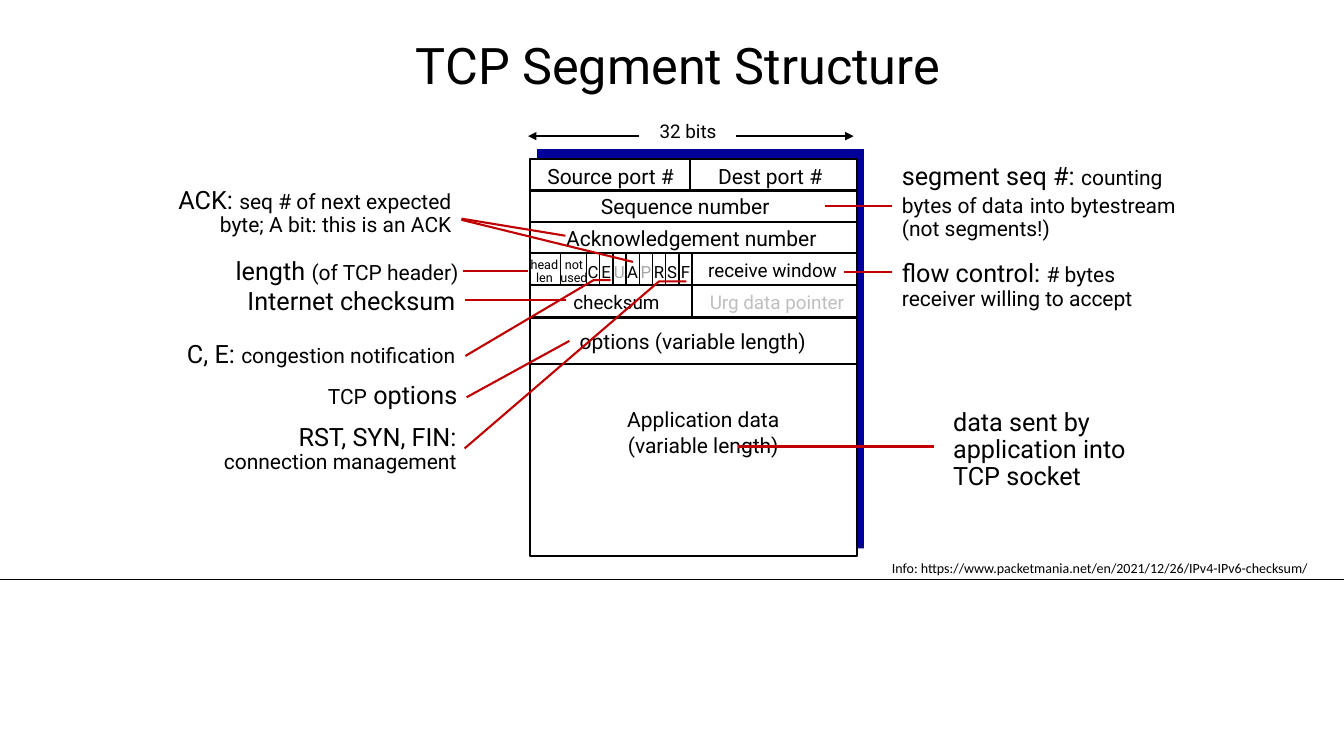
"""Build the TCP segment structure slide."""
from dataclasses import dataclass
from typing import Any, Optional

from lxml.etree import SubElement
from pptx import Presentation
from pptx.dml.color import RGBColor
from pptx.enum.shapes import MSO_CONNECTOR, MSO_SHAPE
from pptx.enum.text import MSO_ANCHOR, MSO_AUTO_SIZE, PP_ALIGN
from pptx.oxml.ns import qn
from pptx.util import Cm, Pt

Point = tuple[float, float]
Run = tuple[str, float]


@dataclass(frozen=True)
class Theme:
    ink: RGBColor = RGBColor(0, 0, 0)
    paper: RGBColor = RGBColor(255, 255, 255)
    backdrop: RGBColor = RGBColor(0x00, 0x00, 0x99)
    pointer: RGBColor = RGBColor(0xC0, 0x00, 0x00)
    unused_flag: RGBColor = RGBColor(0xA6, 0xA6, 0xA6)
    unused_field: RGBColor = RGBColor(0xBF, 0xBF, 0xBF)
    font: str = "Roboto"
    source_font: str = "Calibri"
    title: float = 36
    term: float = 18
    body: float = 15
    field: float = 13.5
    flag: float = 12
    source: float = 10
    tiny: float = 9


THEME = Theme()


@dataclass(frozen=True)
class Label:
    left: float
    top: float
    width: float
    height: float
    paragraphs: tuple[tuple[Run, ...], ...]
    align: PP_ALIGN = PP_ALIGN.CENTER
    colour: RGBColor = THEME.ink
    wrap: bool = False
    spacing: Optional[float] = None
    font: str = THEME.font


@dataclass(frozen=True)
class Route:
    points: tuple[Point, ...]
    colour: RGBColor = THEME.pointer
    weight: float = 1.5
    arrow: bool = False


LEFT, RIGHT, MIDDLE = 13.36, 21.59, 17.44
TOP, HEIGHT = 4.01, 10.01
ROW_LINES = (4.8, 5.59, 6.38, 7.19, 8.0, 9.17)
FLAG_TOP, FLAG_BOTTOM = ROW_LINES[2:4]
FLAGS_LEFT = 14.78
FLAGS = "CEUAPRSF"
FLAG_PITCH = (MIDDLE - FLAGS_LEFT) / len(FLAGS)
FLAG_WIDTH = 0.81


def field(left: float, top: float, width: float, text: str,
          size: float = THEME.body, colour: RGBColor = THEME.ink) -> Label:
    """Describe a one-line header field."""
    return Label(left, top, width, 0.87, (((text, size),),), colour=colour)


def note(left: float, top: float, width: float, height: float, *runs: Run,
         align: PP_ALIGN = PP_ALIGN.RIGHT) -> Label:
    """Describe an explanation beside the segment."""
    return Label(left, top, width, height, (runs,), align, wrap=True, spacing=0.9)


FIELDS = (
    field(13.51, 3.99, 3.76, "Source port #"),
    field(17.81, 3.99, 3.2, "Dest port #"),
    field(14.68, 4.75, 5.18, "Sequence number"),
    field(13.87, 5.56, 7.11, "Acknowledgement number"),
    field(14.35, 8.15, 6.22, "options (variable length)"),
    field(16.36, 2.9, 1.96, "32 bits", THEME.field),
    field(17.55, 6.38, 3.84, "receive window", THEME.field),
    field(14.2, 7.19, 2.67, "checksum", THEME.field),
    field(17.55, 7.21, 4.06, "Urg data pointer", THEME.field, THEME.unused_field),
    Label(14.88, 10.13, 5.69, 1.55,
          ((("Application data", THEME.body),), (("(variable length)", THEME.body),))),
    Label(13.11, 6.4, 1.22, 0.91,
          ((("head", THEME.tiny),), (("len", THEME.tiny),)), spacing=0.85),
    Label(13.87, 6.4, 1.19, 0.91,
          ((("not", THEME.tiny),), (("used", THEME.tiny),)), spacing=0.85),
)
FLAG_LABELS = tuple(
    Label(FLAGS_LEFT + (i + 0.5) * FLAG_PITCH - FLAG_WIDTH / 2, 6.48, FLAG_WIDTH, 0.76,
          (((flag, THEME.flag),),),
          colour=THEME.unused_flag if flag in "UP" else THEME.ink)
    for i, flag in enumerate(FLAGS))
NOTES = (
    note(3.96, 4.6, 7.67, 1.52, ("ACK: ", THEME.term),
         ("seq # of next expected byte; A bit: this is an ACK", THEME.body)),
    note(4.95, 6.4, 6.86, 0.94, ("length ", THEME.term), ("(of TCP header)", THEME.body)),
    note(4.24, 7.14, 7.49, 0.94, ("Internet checksum", THEME.term)),
    note(3.96, 8.48, 7.77, 0.94, ("C, E: ", THEME.term),
         ("congestion notification", THEME.body)),
    note(7.72, 9.53, 4.06, 0.94, ("TCP", THEME.body), (" options", THEME.term)),
    note(4.65, 10.57, 7.11, 1.52, ("RST, SYN, FIN: ", THEME.term),
         ("connection management", THEME.body)),
    note(22.48, 4.01, 7.67, 2.21, ("segment seq #: ", THEME.term),
         ("counting bytes of data", THEME.body), (" ", THEME.term),
         ("into bytestream", THEME.body), (" ", THEME.term),
         ("(not segments!)", THEME.body), align=PP_ALIGN.LEFT),
    note(22.48, 6.45, 7.01, 1.52, ("flow control: ", THEME.term),
         ("# bytes receiver willing to accept", THEME.body), align=PP_ALIGN.LEFT),
    note(23.77, 10.19, 5.03, 3.02,
         ("data sent by application into TCP socket", THEME.term), align=PP_ALIGN.LEFT),
    Label(22.23, 14.05, 11.6, 0.94,
          ((("Info: https://www.packetmania.net/en/2021/12/26/IPv4-IPv6-checksum/",
             THEME.source),),),
          PP_ALIGN.LEFT, wrap=True, spacing=0.85, font=THEME.source_font),
)
GRID = (
    Route(((0, 14.61), (33.87, 14.61)), THEME.ink, 0.5),
    *(Route(((LEFT, y), (RIGHT, y)), THEME.ink) for y in ROW_LINES),
    Route(((MIDDLE, FLAG_TOP), (MIDDLE, ROW_LINES[4])), THEME.ink),
    Route(((17.4, TOP), (17.4, ROW_LINES[0])), THEME.ink),
    *(Route(((x, FLAG_TOP), (x, FLAG_BOTTOM)), THEME.ink, 1)
      for x in (14.12, *(FLAGS_LEFT + i * FLAG_PITCH for i in range(len(FLAGS))))),
    Route(((18.54, 3.43), (21.51, 3.43)), THEME.ink, arrow=True),
    Route(((16.1, 3.43), (13.31, 3.43)), THEME.ink, arrow=True),
)
POINTERS = (
    Route(((11.63, 5.51), (14.25, 5.94))),
    Route(((11.63, 5.54), (13.79, 6.07), (15.95, 6.6))),
    Route(((11.68, 6.83), (13.31, 6.83))),
    Route(((11.73, 7.57), (14.27, 7.57))),
    Route(((11.73, 8.97), (14.96, 7.06), (15.39, 7.06))),
    Route(((11.76, 10.01), (14.35, 8.59))),
    Route(((11.71, 11.3), (16.61, 7.09), (17.3, 7.09))),
    Route(((22.48, 5.18), (20.8, 5.18))),
    Route(((22.48, 6.86), (21.26, 6.86))),
    Route(((18.59, 11.25), (23.55, 11.25)), weight=2),
)


def apply(target: Any, values: dict[str, Any]) -> None:
    """Set each named format value on the target."""
    for name, value in values.items():
        setattr(target, name, value)


def fill_text(frame: Any, label: Label) -> None:
    """Write the paragraphs of a label into a text frame."""
    apply(frame, {"word_wrap": label.wrap, "auto_size": MSO_AUTO_SIZE.NONE})
    for i, runs in enumerate(label.paragraphs):
        paragraph = frame.add_paragraph() if i else frame.paragraphs[0]
        apply(paragraph, {"alignment": label.align, "line_spacing": label.spacing})
        for text, size in runs:
            run = paragraph.add_run()
            run.text = text
            apply(run.font, {"name": label.font, "size": Pt(size)})
            run.font.color.rgb = label.colour


def add_label(shapes: Any, label: Label) -> None:
    """Add a text box for a label."""
    box = shapes.add_textbox(Cm(label.left), Cm(label.top), Cm(label.width), Cm(label.height))
    fill_text(box.text_frame, label)


def add_route(shapes: Any, route: Route) -> None:
    """Add a straight connector, or an open outline through several points."""
    points = [(Cm(x), Cm(y)) for x, y in route.points]
    if len(points) == 2:
        stroke = shapes.add_connector(MSO_CONNECTOR.STRAIGHT, *points[0], *points[1])
    else:
        builder = shapes.build_freeform(*points[0], scale=1.0)
        builder.add_line_segments(points[1:], close=False)
        stroke = builder.convert_to_shape()
        stroke.fill.background()
    stroke.line.color.rgb = route.colour
    stroke.line.width = Pt(route.weight)
    if route.arrow:
        SubElement(stroke.line._get_or_add_ln(), qn("a:tailEnd"), type="triangle")
    SubElement(stroke._element.spPr, qn("a:effectLst"))


def add_panel(shapes: Any, left: float, top: float, height: float,
              fill: RGBColor, outline: Optional[RGBColor] = None) -> None:
    """Add a rectangle as wide as the segment."""
    panel = shapes.add_shape(MSO_SHAPE.RECTANGLE, Cm(left), Cm(top),
                             Cm(RIGHT - LEFT), Cm(height))
    panel.shadow.inherit = False
    panel.fill.solid()
    panel.fill.fore_color.rgb = fill
    if outline is None:
        panel.line.fill.background()
    else:
        panel.line.color.rgb = outline
        panel.line.width = Pt(1.5)


def main() -> None:
    """Build and save the slide."""
    deck = Presentation()
    apply(deck, {"slide_width": Cm(33.87), "slide_height": Cm(19.05)})
    slide = deck.slides.add_slide(deck.slide_layouts[5])
    shapes = slide.shapes
    heading = Label(5.23, 0.79, 23.72, 1.85, ((("TCP Segment Structure", THEME.title),),),
                    wrap=True, spacing=0.9)
    apply(shapes.title, {side: Cm(getattr(heading, side))
                         for side in ("left", "top", "width", "height")})
    fill_text(shapes.title.text_frame, heading)
    shapes.title.text_frame.vertical_anchor = MSO_ANCHOR.MIDDLE
    add_panel(shapes, 13.54, 3.76, 10.06, THEME.backdrop)
    add_panel(shapes, LEFT, TOP, HEIGHT, THEME.paper, THEME.ink)
    for route in GRID:
        add_route(shapes, route)
    for label in FIELDS + FLAG_LABELS + NOTES:
        add_label(shapes, label)
    for route in POINTERS:
        add_route(shapes, route)
    deck.save("out.pptx")


if __name__ == "__main__":
    main()
